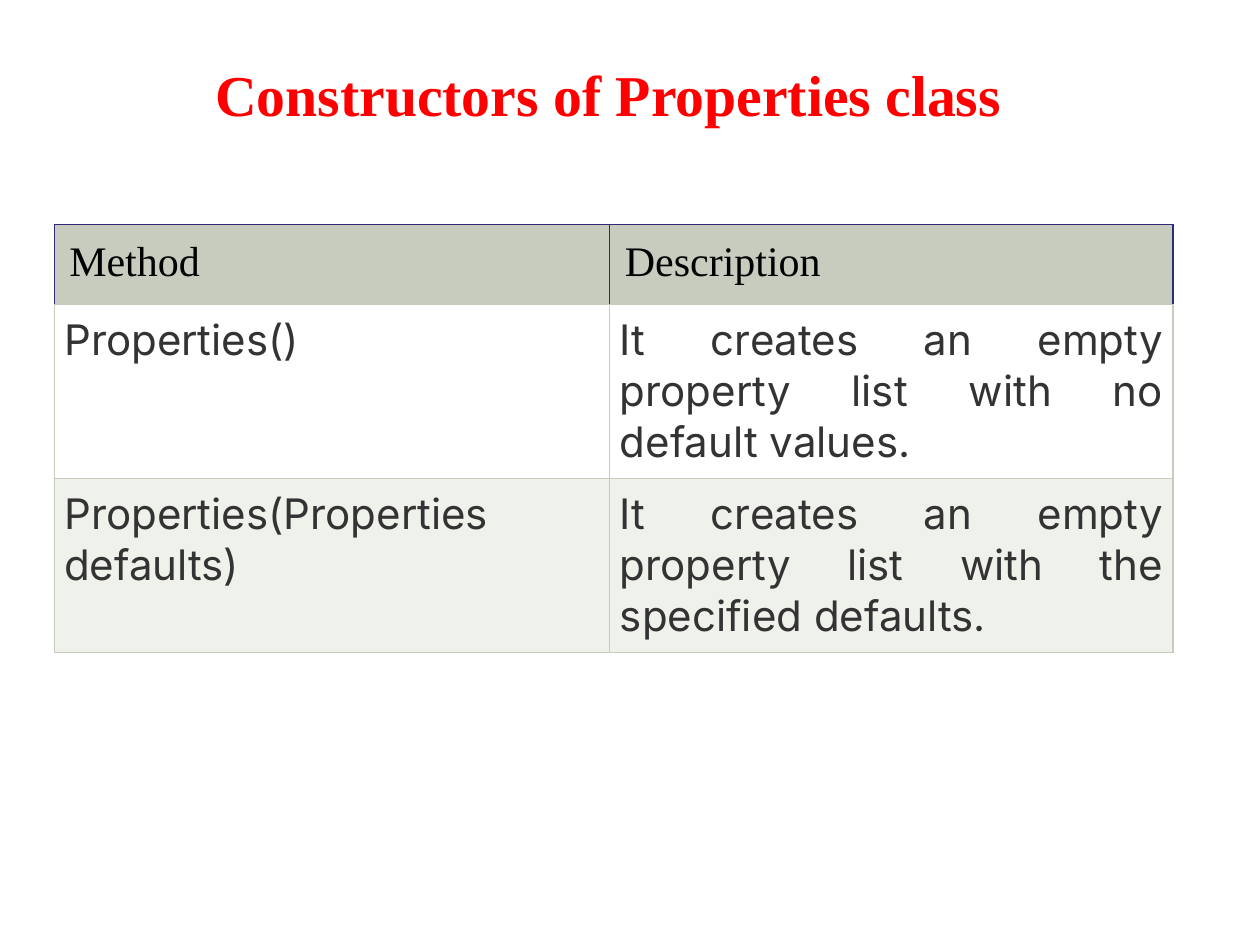
import pptx
import pptx.dml.color
import pptx.enum.text
import pptx.oxml
import pptx.oxml.ns
import pptx.util
from dataclasses import dataclass

Inches = pptx.util.Inches
Pt = pptx.util.Pt
RGB = pptx.dml.color.RGBColor.from_string
ALIGN = pptx.enum.text.PP_ALIGN

TITLE = "Constructors of Properties class"
HEADER = ("Method", "Description")
BODY = [
    ("Properties()", "It creates an empty property list with no default values."),
    ("Properties(Properties defaults)",
     "It creates an empty property list with the specified defaults."),
]
TABLE_LEFT, TABLE_TOP = 0.43, 1.78
COL_WIDTHS = (4.41, 4.47)
HEADER_HEIGHT, BODY_HEIGHT = 0.62, 1.38


@dataclass(frozen=True)
class Theme:
    title_font: str = "Times New Roman"
    body_font: str = "Inter"
    title_size: int = 33
    table_size: int = 24
    title: str = "FF0000"
    header_text: str = "000000"
    body_text: str = "333333"
    header_fill: str = "C7CCBE"
    row_fills: tuple = ("FFFFFF", "EFF1EB")
    header_line: str = "302978"
    grid_line: str = "C7CCBE"
    line_width: float = 0.75


THEME = Theme()


def set_font(p, name, size, color, bold=False):
    p.font.name, p.font.size, p.font.bold = name, Pt(size), bold
    p.font.color.rgb = RGB(color)


def set_borders(cell, colors):
    """Draw the cell's edges; colors are left, right, top, bottom."""
    tc_pr = cell._tc.get_or_add_tcPr()
    for side, color in zip("LRTB", colors):
        tc_pr.append(pptx.oxml.parse_xml(
            f'<a:ln{side} {pptx.oxml.ns.nsdecls("a")} w="{Pt(THEME.line_width)}">'
            f'<a:solidFill><a:srgbClr val="{color}"/></a:solidFill></a:ln{side}>'))


def fill_cell(cell, text, fill, borders, inset, font, color, align):
    set_borders(cell, borders)
    cell.fill.solid()
    cell.fill.fore_color.rgb = RGB(fill)
    cell.margin_left = cell.margin_right = Inches(inset)
    cell.margin_top = cell.margin_bottom = Inches(inset)
    cell.text = text
    p = cell.text_frame.paragraphs[0]
    p.alignment = align
    set_font(p, font, THEME.table_size, color)


def add_title(slide):
    layout_box = [Inches(v) for v in (1.61, 0.4, 7.7, 0.75)]
    tf = slide.shapes.add_textbox(*layout_box).text_frame
    tf.word_wrap = True
    tf.vertical_anchor = pptx.enum.text.MSO_ANCHOR.MIDDLE
    p = tf.paragraphs[0]
    p.text = TITLE
    p.line_spacing = 0.9
    set_font(p, THEME.title_font, THEME.title_size, THEME.title, bold=True)


def add_constructor_table(slide):
    heights = [HEADER_HEIGHT] + [BODY_HEIGHT] * len(BODY)
    table = slide.shapes.add_table(
        len(heights), len(COL_WIDTHS), Inches(TABLE_LEFT), Inches(TABLE_TOP),
        Inches(sum(COL_WIDTHS)), Inches(sum(heights))).table
    for column, width in zip(table.columns, COL_WIDTHS):
        column.width = Inches(width)
    for row, height in zip(table.rows, heights):
        row.height = Inches(height)

    header_borders = [THEME.header_line] * 3 + [THEME.grid_line]
    for c, text in enumerate(HEADER):
        fill_cell(table.cell(0, c), text, THEME.header_fill, header_borders, 0.12,
                  THEME.title_font, THEME.header_text, ALIGN.LEFT)
    for r, (texts, fill) in enumerate(zip(BODY, THEME.row_fills), start=1):
        for c, text in enumerate(texts):
            fill_cell(table.cell(r, c), text, fill, [THEME.grid_line] * 4, 0.08,
                      THEME.body_font, THEME.body_text, ALIGN.JUSTIFY)


def main():
    prs = pptx.Presentation()
    prs.slide_width, prs.slide_height = Inches(10), Inches(7.5)
    slide = prs.slides.add_slide(prs.slide_layouts[6])
    add_title(slide)
    add_constructor_table(slide)
    prs.save("out.pptx")


if __name__ == "__main__":
    main()
